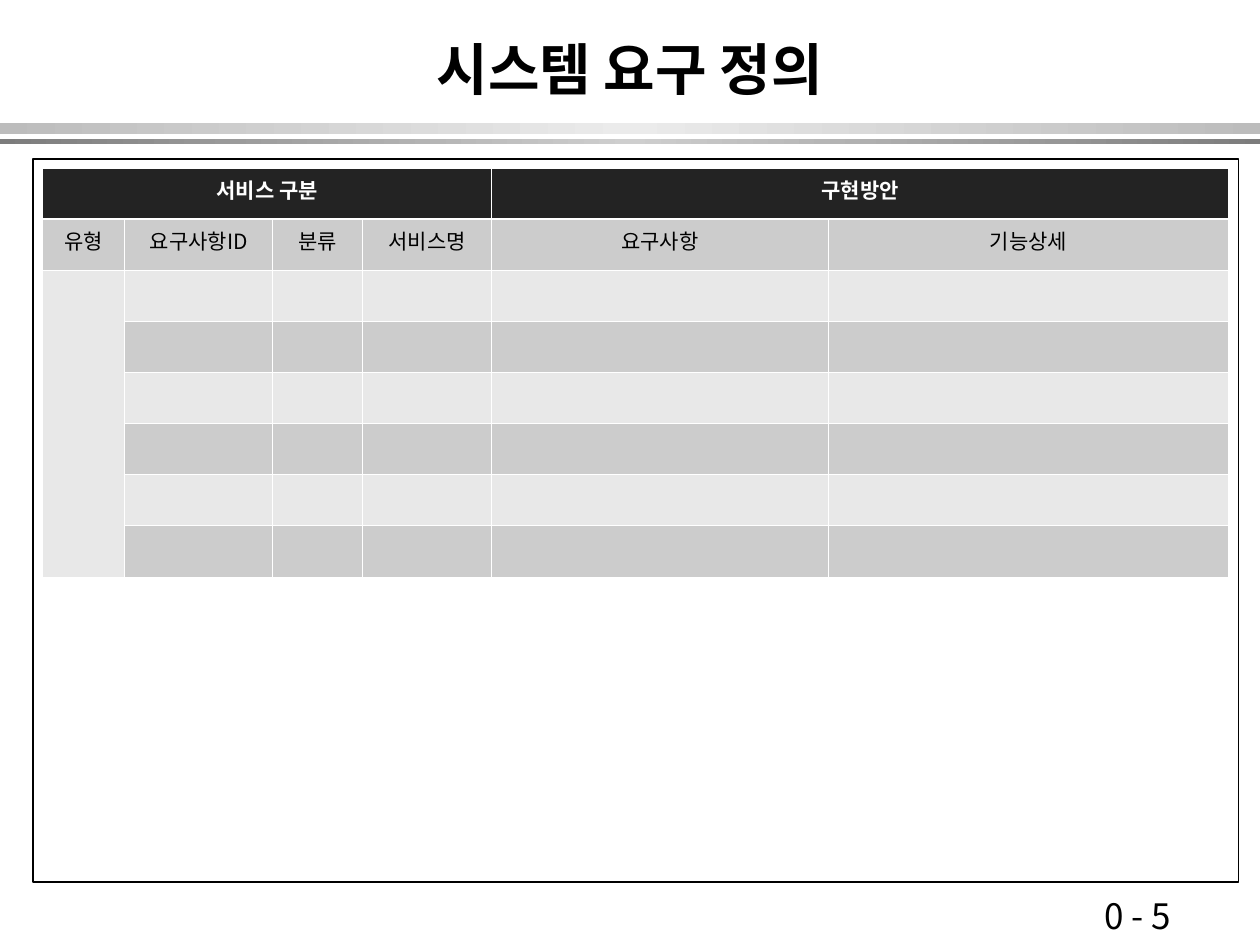
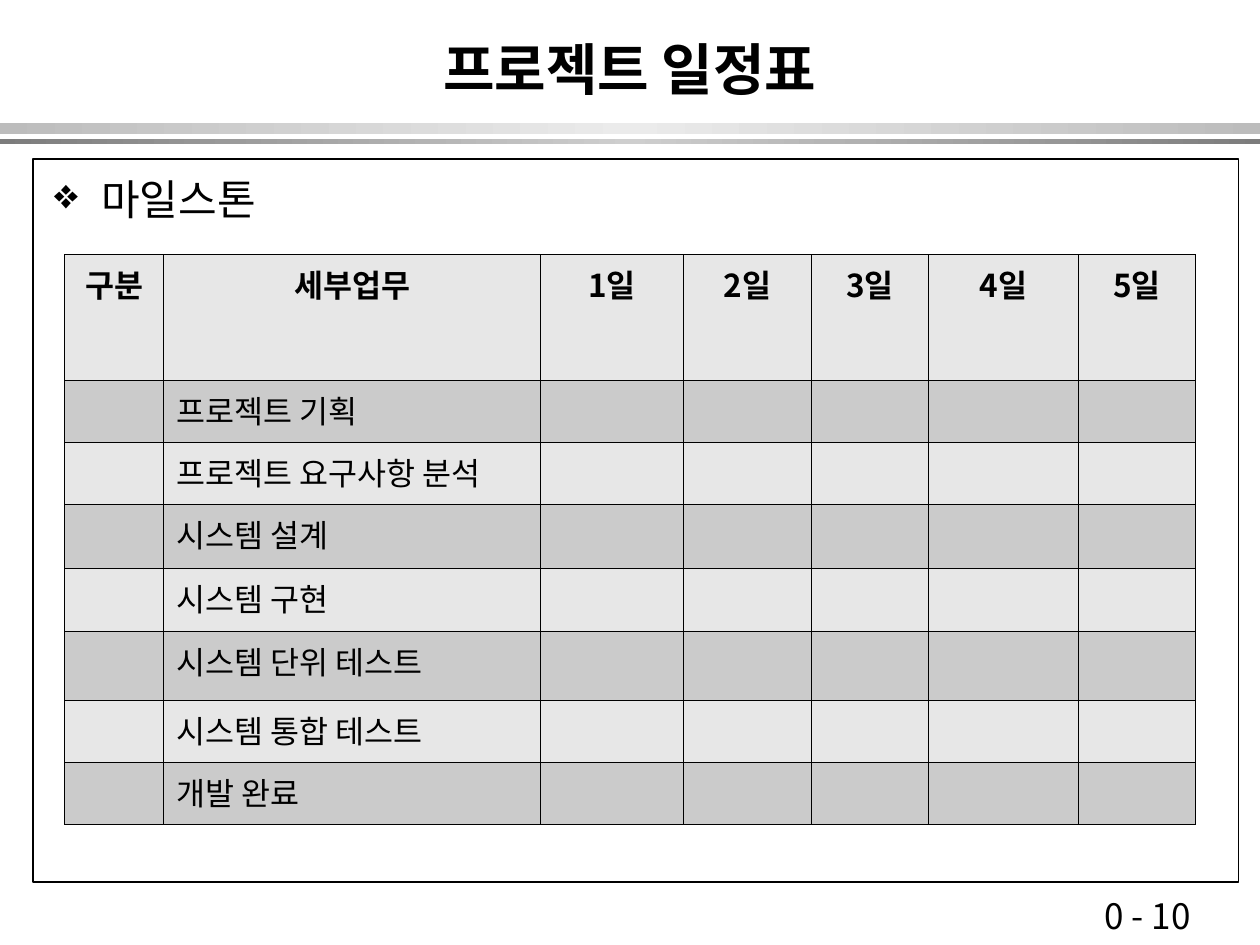
from copy import deepcopy

from lxml import etree
from pptx import Presentation
from pptx import util as u
from pptx.dml.color import RGBColor
from pptx.enum import shapes, text
from pptx.oxml import ns

FONT = "Noto Sans CJK KR"
BLACK = RGBColor(0x00, 0x00, 0x00)
WHITE = RGBColor(0xFF, 0xFF, 0xFF)
HEADER = RGBColor(0x23, 0x23, 0x23)
REQ_DARK = RGBColor(0xCC, 0xCC, 0xCC)
REQ_LIGHT = RGBColor(0xE8, 0xE8, 0xE8)
PLAN_DARK = RGBColor(0xCB, 0xCB, 0xCB)
PLAN_LIGHT = RGBColor(0xE7, 0xE7, 0xE7)
BAND_EDGE = RGBColor(0xBC, 0xBC, 0xBC)
BAND_MID = RGBColor(0xEB, 0xEB, 0xEB)
RULE_EDGE = RGBColor(0x7C, 0x7C, 0x7C)
RULE_MID = RGBColor(0xCE, 0xCE, 0xCE)
CENTER = text.PP_ALIGN.CENTER
LEFT = text.PP_ALIGN.LEFT


def write(tf, words, size=18, color=BLACK, bold=False, align=LEFT):
    """Put one formatted run in the first paragraph and return the paragraph."""
    p = tf.paragraphs[0]
    p.alignment = align
    r = p.add_run()
    r.text = words
    r.font.size = u.Pt(size)
    r.font.bold = bold
    r.font.color.rgb = color
    r.font.name = FONT
    etree.SubElement(r.font._element, ns.qn("a:ea"), typeface=FONT)
    return p


def add_grid(s, left, top, cols, rows, fills, line, thick_row=None):
    """Add a table; fills holds a colour per row, thick_row has a heavy bottom border."""
    tbl = s.shapes.add_table(len(rows), len(cols), u.Cm(left), u.Cm(top),
                             u.Cm(sum(cols)), u.Cm(sum(rows))).table
    tbl.first_row = tbl.horz_banding = False
    for col, width in zip(tbl.columns, cols):
        col.width = u.Cm(width)
    for i, (row, height) in enumerate(zip(tbl.rows, rows)):
        row.height = u.Cm(height)
        for cell in row.cells:
            tc_pr = cell._tc.get_or_add_tcPr()
            for side in "LRTB":
                thick = thick_row is not None and (i, side) in (
                    (thick_row, "B"), (thick_row + 1, "T"))
                ln = etree.SubElement(tc_pr, ns.qn("a:ln" + side),
                                      w=str(u.Pt(1.47 if thick else 0.45)))
                paint = etree.SubElement(ln, ns.qn("a:solidFill"))
                etree.SubElement(paint, ns.qn("a:srgbClr"), val=str(line))
            cell.fill.solid()
            cell.fill.fore_color.rgb = fills[i]
    return tbl


prs = Presentation()
prs.slide_width, prs.slide_height = u.Cm(25.4), u.Cm(19.05)

# Title, bands, frame and page number on every slide
slides = []
for title, page in [("시스템 요구 정의", "0 - 5"), ("프로젝트 일정표", "0 - 10")]:
    s = prs.slides.add_slide(prs.slide_layouts[6])
    slides.append(s)

    for top, height, edge, mid in [(2.48, 0.22, BAND_EDGE, BAND_MID),
                                   (2.8, 0.1, RULE_EDGE, RULE_MID)]:
        band = s.shapes.add_shape(shapes.MSO_SHAPE.RECTANGLE, 0, u.Cm(top),
                                  u.Cm(25.4), u.Cm(height))
        band.shadow.inherit = False
        band.line.fill.background()
        band.fill.gradient()
        band.fill.gradient_angle = 0
        for stop in band.fill.gradient_stops:
            stop.color.rgb = edge
        stops = band._element.spPr.find(".//" + ns.qn("a:gsLst"))
        stops.insert(1, deepcopy(stops[0]))
        middle = band.fill.gradient_stops[1]
        middle.position = 0.5
        middle.color.rgb = mid

    frame = s.shapes.add_shape(shapes.MSO_SHAPE.RECTANGLE, u.Cm(0.66), u.Cm(3.2),
                               u.Cm(24.31), u.Cm(14.58))
    frame.shadow.inherit = False
    frame.fill.background()
    frame.line.color.rgb = BLACK
    frame.line.width = u.Pt(1)

    tf = s.shapes.add_textbox(u.Cm(22.02), u.Cm(17.91), u.Cm(2.97), u.Cm(1.09)).text_frame
    tf.word_wrap = True
    write(tf, page, size=20)

    tf = s.shapes.add_textbox(u.Cm(1.9), u.Cm(0.43), u.Cm(21.6), u.Cm(1.9)).text_frame
    tf.word_wrap = True
    tf.vertical_anchor = text.MSO_ANCHOR.MIDDLE
    write(tf, title, size=32, bold=True, align=CENTER)

requirements, schedule = slides

# Requirements table
tbl = add_grid(requirements, 0.86, 3.39, [1.65, 2.99, 1.81, 2.6, 6.79, 8.07], [1.03] * 8,
               [HEADER, REQ_DARK] + [REQ_LIGHT, REQ_DARK] * 3, WHITE, thick_row=0)
for first, last in [((0, 0), (0, 3)), ((0, 4), (0, 5)), ((2, 0), (7, 0))]:
    tbl.cell(*first).merge(tbl.cell(*last))
for c, group in [(0, "서비스 구분"), (4, "구현방안")]:
    write(tbl.cell(0, c).text_frame, group, size=12, color=WHITE, bold=True, align=CENTER)
for c, name in enumerate(["유형", "요구사항ID", "분류", "서비스명", "요구사항", "기능상세"]):
    write(tbl.cell(1, c).text_frame, name, size=12, align=CENTER)

# Milestone heading and schedule table
tf = schedule.shapes.add_textbox(u.Cm(0.84), u.Cm(3.38), u.Cm(23.93), u.Cm(14.17)).text_frame
tf.word_wrap = True
p = write(tf, "마일스톤", size=24)
p.space_before = u.Pt(6)
p_pr = p._p.get_or_add_pPr()
p_pr.set("marL", str(u.Cm(0.95)))
p_pr.set("indent", str(-u.Cm(0.95)))
etree.SubElement(p_pr, ns.qn("a:buChar"), char="❖")

tbl = add_grid(schedule, 1.3, 5.13, [2, 7.6, 2.88, 2.58, 2.36, 3.02, 2.36],
               [2.54, 1.25, 1.25, 1.29, 1.27, 1.39, 1.25, 1.25],
               [PLAN_LIGHT, PLAN_DARK] * 4, BLACK)
days = [f"{day}일" for day in range(1, 6)]
for c, name in enumerate(["구분", "세부업무"] + days):
    write(tbl.cell(0, c).text_frame, name, bold=True, align=CENTER)
tasks = ["프로젝트 기획", "프로젝트 요구사항 분석", "시스템 설계", "시스템 구현",
         "시스템 단위 테스트", "시스템 통합 테스트", "개발 완료"]
for i, task in enumerate(tasks, start=1):
    write(tbl.cell(i, 1).text_frame, task)

prs.save("out.pptx")
